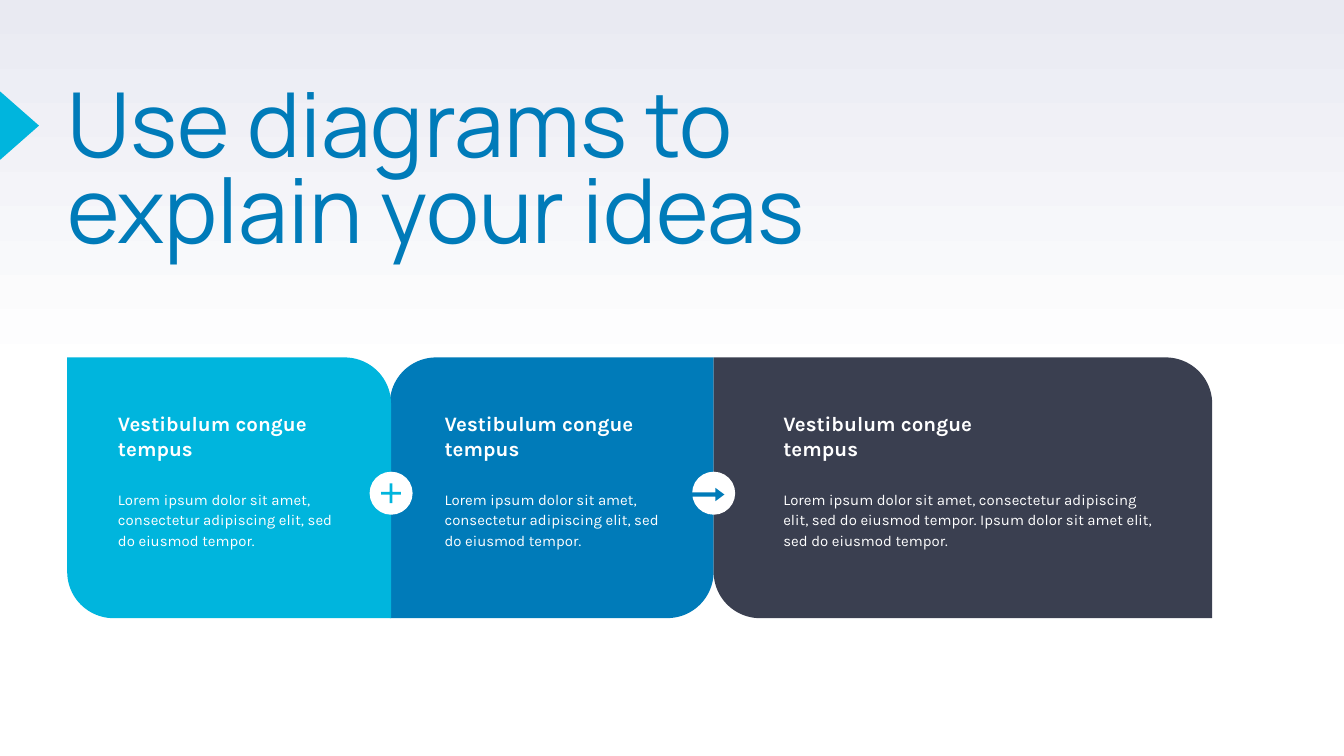
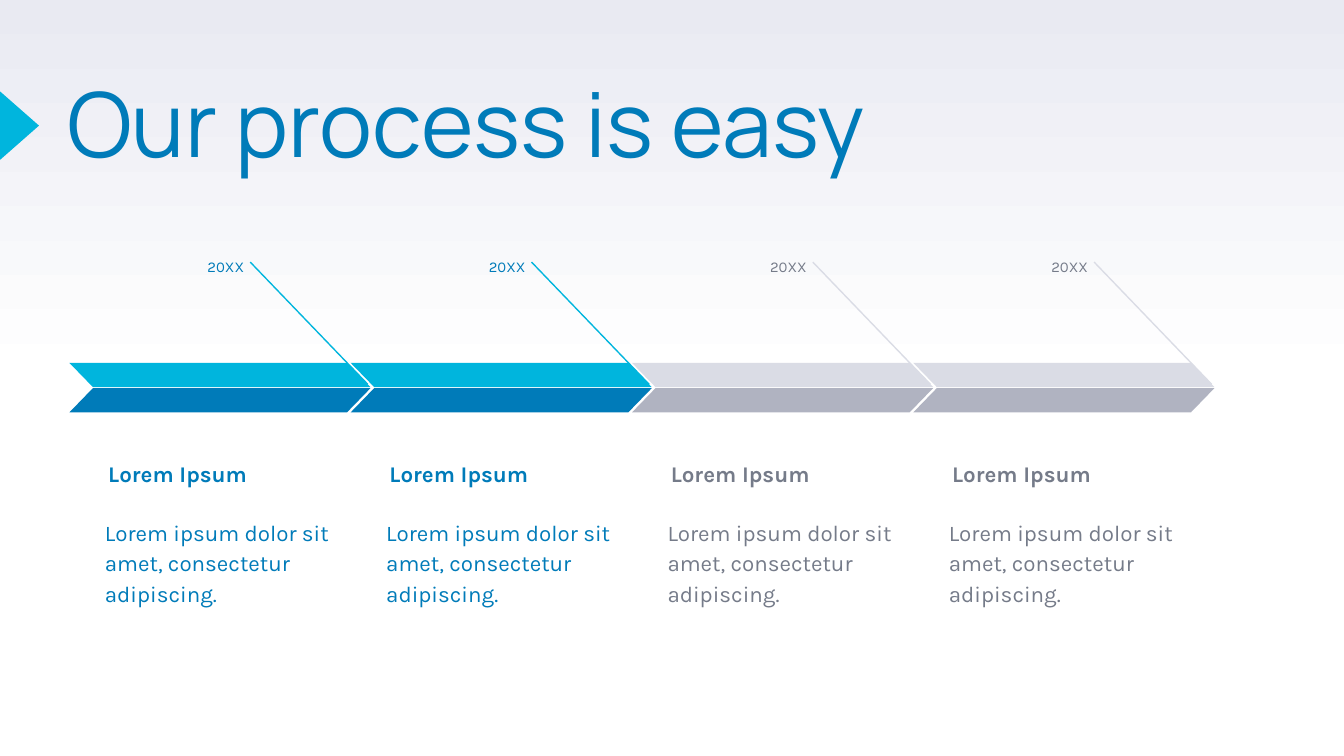
from dataclasses import dataclass

from lxml.etree import SubElement
from pptx import Presentation
from pptx.dml.color import RGBColor
from pptx.enum.shapes import MSO_CONNECTOR, MSO_SHAPE
from pptx.enum.text import MSO_ANCHOR, MSO_AUTO_SIZE, PP_ALIGN
from pptx.oxml.ns import qn
from pptx.util import Inches, Pt


@dataclass(frozen=True)
class Theme:
    cyan: str = "00B5DD"
    blue: str = "007BB9"
    navy: str = "3A3F50"
    white: str = "FFFFFF"
    mist: str = "E9EAF2"
    silver: str = "DADCE5"
    steel: str = "B0B3C1"
    gray: str = "757B89"
    title_font: str = "Manrope"
    body_font: str = "Karla"
    title_size: float = 48
    step_size: float = 12
    card_title_size: float = 11
    small_size: float = 8
    line_width: float = 0.75


THEME = Theme()
SLIDE_WIDTH, SLIDE_HEIGHT = Inches(10), Inches(5.625)
COLUMNS, ROWS = 100, 56.25

LOREM = "Lorem ipsum dolor sit amet, consectetur adipiscing"
CARD_TOP, CARD_HEIGHT = 26.6, 19.4
BADGE_SIZE = 3.2
STEP_LEFT, STEP_PITCH = 5.17, 20.93
BAND_TOP, BAND_PITCH = 27, 1.88


def grid(column, row, columns, rows):
    across, down = SLIDE_WIDTH / COLUMNS, SLIDE_HEIGHT / ROWS
    return [round(value) for value in
            (column * across, row * down, columns * across, rows * down)]


def color(value):
    return RGBColor.from_string(value)


def write(frame, text, *, size, fill, font=THEME.body_font, bold=False,
          align=PP_ALIGN.LEFT, anchor=MSO_ANCHOR.TOP, spacing=None,
          after=None, inset=0.1):
    frame.word_wrap = True
    frame.auto_size = MSO_AUTO_SIZE.NONE
    frame.vertical_anchor = anchor
    frame.margin_left = frame.margin_right = Inches(inset)
    frame.margin_top = frame.margin_bottom = Inches(inset)
    para = frame.paragraphs[0]
    para.text = text
    para.alignment = align
    if spacing:
        para.line_spacing = spacing
    if after:
        para.space_after = Pt(after)
    for span in para.runs:
        span.font.name = font
        span.font.size = Pt(size)
        span.font.bold = bold
        span.font.color.rgb = color(fill)


def add_text(shapes, area, text, **style):
    box = shapes.add_textbox(*grid(*area))
    write(box.text_frame, text, **style)


def add_solid(shapes, kind, area, fill, adjustments=(), flip=False):
    shape = shapes.add_shape(kind, *grid(*area))
    shape.shadow.inherit = False
    shape.fill.solid()
    shape.fill.fore_color.rgb = color(fill)
    shape.line.fill.background()
    for index, value in enumerate(adjustments):
        shape.adjustments[index] = value
    if flip:
        shape.element.spPr.xfrm.set("flipH", "1")
    return shape


def add_line(shapes, start, end, fill):
    line = shapes.add_connector(MSO_CONNECTOR.STRAIGHT,
                                *grid(*start, *end))
    line.line.color.rgb = color(fill)
    line.line.width = Pt(THEME.line_width)
    SubElement(line.element.spPr, qn("a:effectLst"))


def set_background(master):
    fill = master.background.fill
    fill.gradient()
    fill.gradient_angle = 90
    stops = ((0.5, THEME.white), (1, THEME.mist))
    for stop, (position, value) in zip(fill.gradient_stops, stops):
        stop.position = position
        stop.color.rgb = color(value)


def add_page(deck, title):
    page = deck.slides.add_slide(deck.slide_layouts.get_by_name("Title Only"))
    holder = page.shapes.title
    holder.left, holder.top, holder.width, holder.height = grid(5, 6.6, 61.7, 11.8)
    write(holder.text_frame, title, size=THEME.title_size, fill=THEME.blue,
          font=THEME.title_font, spacing=0.8, inset=0)
    return page


def add_layout_pointer(page):
    pointer = add_solid(page.shapes, MSO_SHAPE.ISOSCELES_TRIANGLE,
                        (-1.1, 7.9, 5.1, 2.9), THEME.cyan)
    pointer.rotation = 90
    page.slide_layout.shapes.element.append(pointer.element)


def add_card(page, left, width, fill, text_left, text_width, title, body,
             corners=(0, 0.178)):
    shapes = page.shapes.add_group_shape().shapes
    add_solid(shapes, MSO_SHAPE.ROUND_2_DIAG_RECTANGLE,
              (left, CARD_TOP, width, CARD_HEIGHT), fill, corners)
    add_text(shapes, (text_left, 29.6, text_width, 5.7), title,
             size=THEME.card_title_size, fill=THEME.white, bold=True)
    add_text(shapes, (text_left, 35.3, text_width, 6.3), body,
             size=THEME.small_size, fill=THEME.white, spacing=1.15, after=16)


def add_badge(page, left, kind, symbol_area, fill, adjustments):
    shapes = page.shapes.add_group_shape().shapes
    add_solid(shapes, MSO_SHAPE.OVAL, (left, 35.1, BADGE_SIZE, BADGE_SIZE),
              THEME.white)
    add_solid(shapes, kind, symbol_area, fill, adjustments)


def add_step(page, index, top_fill, bottom_fill, text_fill):
    left = STEP_LEFT + index * STEP_PITCH
    shapes = page.shapes.add_group_shape().shapes
    add_text(shapes, (left + 6.4, 18, 7.6, 2.9), "20XX",
             size=THEME.small_size, fill=text_fill, align=PP_ALIGN.RIGHT,
             spacing=1.15, after=16)
    add_text(shapes, (left + 1.9, 31.75, 18.4, 5.5), "Lorem Ipsum",
             size=THEME.step_size, fill=text_fill, bold=True,
             anchor=MSO_ANCHOR.BOTTOM, spacing=1.15)
    add_text(shapes, (left + 1.65, 37.3, 18.9, 9), f"{LOREM}.",
             size=THEME.step_size, fill=text_fill, spacing=1.15, after=16)
    add_line(shapes, (left + 13.45, 19.5), (left + 22.2, 28.6), top_fill)
    for row, fill in enumerate((top_fill, bottom_fill)):
        add_solid(shapes, MSO_SHAPE.PARALLELOGRAM,
                  (left, BAND_TOP + row * BAND_PITCH, 22.4, 1.8),
                  fill, (0.97,), flip=row == 0)


def build_diagram(deck):
    page = add_page(deck, "Use diagrams to explain your ideas")
    add_layout_pointer(page)
    heading = "Vestibulum congue tempus"
    ending = "sed do eiusmod tempor."
    short_body = f"{LOREM} elit, {ending}"
    long_body = f"{short_body} Ipsum dolor sit amet elit, {ending}"
    add_card(page, 29, 24.1, THEME.blue, 32.1, 18, heading, short_body,
             corners=(0.178, 0))
    add_card(page, 5, 24.1, THEME.cyan, 7.8, 18, heading, short_body)
    add_card(page, 53.1, 37.1, THEME.navy, 57.3, 29.9,
             "Vestibulum congue\ntempus", long_body)
    add_badge(page, 51.5, MSO_SHAPE.RIGHT_ARROW, (51.5, 36.3, 2.4, 1),
              THEME.blue, (0.32, 0.67))
    add_badge(page, 27.5, MSO_SHAPE.MATH_PLUS, (28.1, 35.7, 2, 2),
              THEME.cyan, (0.1,))


def build_process(deck):
    page = add_page(deck, "Our process is easy")
    done = (THEME.cyan, THEME.blue, THEME.blue)
    upcoming = (THEME.silver, THEME.steel, THEME.gray)
    for index, fills in enumerate((done, done, upcoming, upcoming)):
        add_step(page, index, *fills)


def main():
    deck = Presentation()
    deck.slide_width, deck.slide_height = SLIDE_WIDTH, SLIDE_HEIGHT
    set_background(deck.slide_master)
    build_diagram(deck)
    build_process(deck)
    deck.save("out.pptx")


if __name__ == "__main__":
    main()
